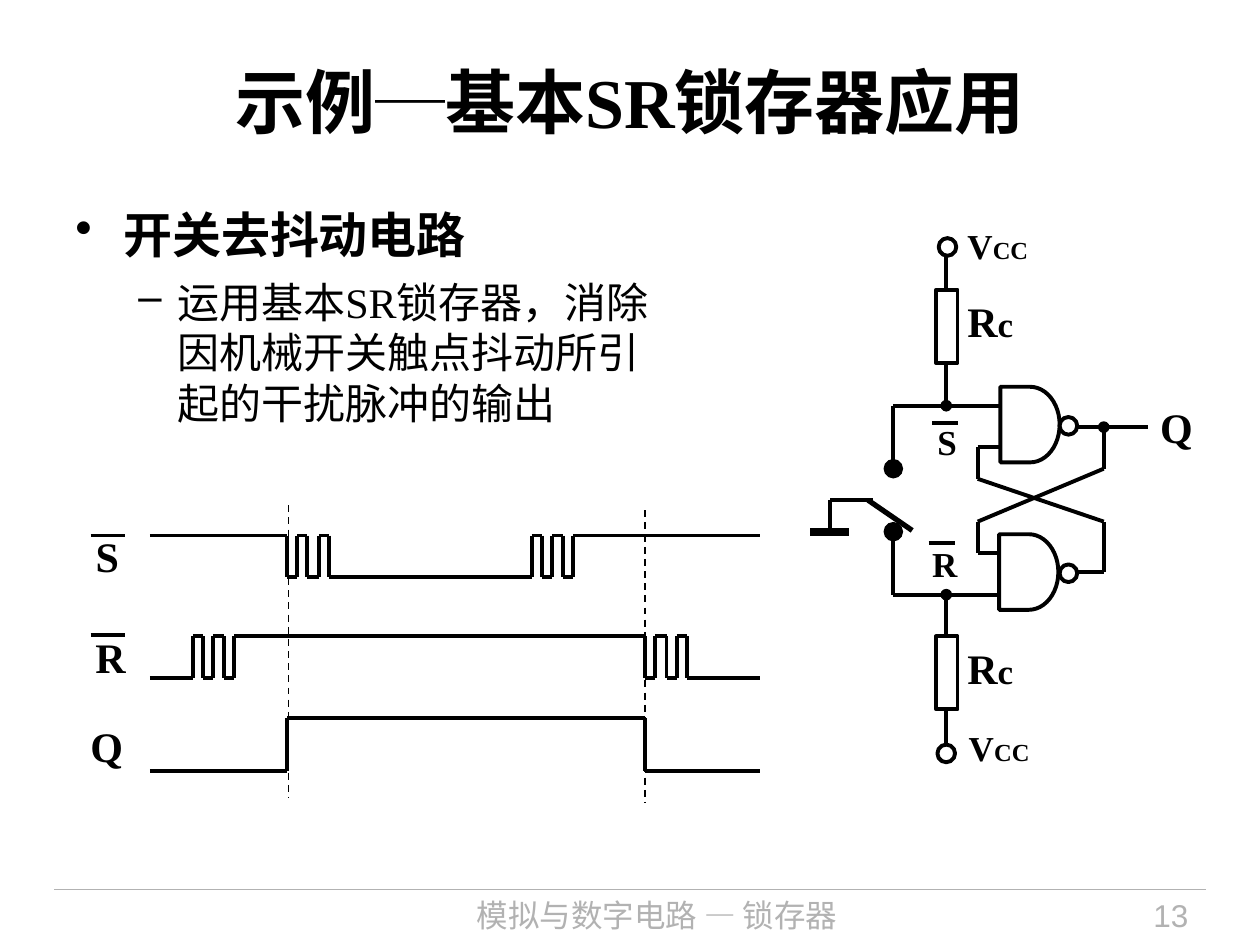
import itertools
import lxml.etree
import pptx
import pptx.dml.color
import pptx.enum.dml
import pptx.enum.shapes
import pptx.enum.text
import pptx.oxml.ns
import pptx.util

PX = 9144
BLACK, WHITE, GREY = "000000", "FFFFFF", "B2B2B2"
SERIF, SANS, CJK = "Times New Roman", "Arial", "Noto Sans CJK SC"
rgb = pptx.dml.color.RGBColor.from_string
qn = pptx.oxml.ns.qn
Align = pptx.enum.text.PP_ALIGN
Shape = pptx.enum.shapes.MSO_SHAPE

deck = pptx.Presentation()
deck.slide_width, deck.slide_height = 1000 * PX, 750 * PX
page = deck.slides.add_slide(deck.slide_layouts[6])


def trace(points, width=2.25, colour=BLACK, dash=None, dot_end=None, dot_size="med"):
    for start, end in itertools.pairwise(points):
        wire = page.shapes.add_connector(
            pptx.enum.shapes.MSO_CONNECTOR.STRAIGHT, *(value * PX for value in start + end))
        wire.line.color.rgb = rgb(colour)
        wire.line.width = pptx.util.Pt(width)
        if dash:
            wire.line.dash_style = dash
        if dot_end:
            lxml.etree.SubElement(wire.line._get_or_add_ln(), qn("a:" + dot_end),
                                  type="oval", w=dot_size, len=dot_size)
        lxml.etree.SubElement(wire._element.spPr, qn("a:effectLst"))


def write(area, lines, font=SERIF, colour=BLACK, bold=True, align=Align.LEFT, wrap=False):
    box = page.shapes.add_textbox(*(value * PX for value in area))
    frame = box.text_frame
    frame.word_wrap = wrap
    frame.text = "\n".join(pieces[0][0] for pieces in lines)
    for para, pieces in zip(frame.paragraphs, lines):
        para.alignment = align
        for text, size in pieces[1:]:
            para.add_run().text = text
        for span, (text, size) in zip(para.runs, pieces):
            span.font.size = pptx.util.Pt(size)
            span.font.bold = bold
            span.font.color.rgb = rgb(colour)
            span.font.name = font
            lxml.etree.SubElement(span._r.get_or_add_rPr(), qn("a:ea"), typeface=CJK)
    return frame


trace([(43, 706), (957, 706)], 0.75, GREY)
write((240, 706, 563, 44), [[("模拟与数字电路 — 锁存器", 18)]], CJK, GREY, False, Align.CENTER, True)
write((820, 706, 133, 44), [[("13", 18)]], SANS, GREY, False, Align.RIGHT, True)

title = write((50, 17, 900, 125), [[("示例─基本SR锁存器应用", 40)]], align=Align.CENTER, wrap=True)
title.vertical_anchor = pptx.enum.text.MSO_ANCHOR.MIDDLE

body = write((50, 158, 496, 239), [
    [("开关去抖动电路", 28)],
    [("运用基本SR锁存器，消除因机械开关触点抖动所引起的干扰脉冲的输出", 24)],
], wrap=True)
body.margin_top = 4 * PX
body.paragraphs[1].level = 1
body.paragraphs[1].runs[0].font.bold = False
for para, bullet, indent, hang, pitch, after in zip(
        body.paragraphs, "•–", (38, 81), (38, 31), (34, 29), (7, 6)):
    props = para._p.get_or_add_pPr()
    props.set("marL", str(indent * PX))
    props.set("indent", str(-hang * PX))
    lxml.etree.SubElement(props, qn("a:buChar"), char=bullet)
    para.line_spacing = pptx.util.Pt(pitch)
    para.space_after = pptx.util.Pt(after)

trace([(843, 339), (911, 339)])
trace([(876, 339), (876, 372)], dot_end="headEnd")
trace([(876, 372), (776, 414), (776, 439), (793, 439)])
trace([(843, 454), (876, 454), (876, 414), (776, 380), (776, 355), (793, 355)])
trace([(793, 322), (709, 322)])
trace([(709, 322), (709, 372)], dot_end="tailEnd", dot_size="lg")
trace([(709, 422), (709, 472)], dot_end="headEnd", dot_size="lg")
trace([(709, 472), (793, 472)])
trace([(693, 397), (659, 397), (659, 422)])
trace([(643, 422), (674, 422)], 4.5)
trace([(689, 397), (724, 421)], 3)
trace([(751, 472), (751, 505)], dot_end="headEnd")
trace([(751, 564), (751, 597)])
trace([(751, 289), (751, 322)], dot_end="tailEnd")
trace([(751, 197), (751, 230)])

high_s, low_s, high_r, low_r, high_q, low_q = 425, 458, 505, 538, 570, 612
for level, other, edges in [
    (high_s, low_s, [228, 236, 244, 253, 261, 422, 430, 438, 447, 455]),
    (low_r, high_r, [153, 161, 169, 178, 186, 512, 520, 529, 537, 545]),
    (low_q, high_q, [228, 512]),
]:
    wave = [(119, level)]
    for edge in edges:
        wave += [(edge, level), (edge, other)]
        level, other = other, level
    trace(wave + [(603, level)])

for x, top in [(229, 401), (512, 405)]:
    trace([(x, top), (x, top + 232)], 1, dash=pptx.enum.dml.MSO_LINE.DASH)

for left, right, y in [(740, 760, 336), (737, 758, 431), (72, 99, 425), (72, 99, 504)]:
    trace([(left, y), (right, y)])

for kind, width, height, corners, fill in [
    (Shape.RECTANGLE, 17, 58, [(743, 505), (743, 230)], None),
    (Shape.FLOWCHART_DELAY, 47, 60, [(794, 307), (793, 424)], WHITE),
    (Shape.OVAL, 14, 14, [(841, 331), (841, 448), (744, 591), (745, 189)], WHITE),
]:
    for left, top in corners:
        part = page.shapes.add_shape(kind, left * PX, top * PX, width * PX, height * PX)
        part.shadow.inherit = False
        part.line.color.rgb = rgb(BLACK)
        part.line.width = pptx.util.Pt(2.25)
        if fill:
            part.fill.solid()
            part.fill.fore_color.rgb = rgb(fill)
        else:
            part.fill.background()

supply = [("V", 20), ("CC", 14)]
resistor = [("R", 24), ("c", 20)]
for area, pieces in [
    ((758, 173, 70, 44), supply),
    ((759, 572, 70, 44), supply),
    ((758, 230, 60, 50), resistor),
    ((758, 505, 60, 50), resistor),
    ((911, 314, 46, 50), [("Q", 24)]),
    ((734, 329, 35, 44), [("S", 20)]),
    ((730, 426, 40, 44), [("R", 20)]),
    ((66, 416, 38, 50), [("S", 24)]),
    ((66, 496, 44, 50), [("R", 24)]),
    ((62, 567, 46, 50), [("Q", 24)]),
]:
    write(area, [pieces])

deck.save("out.pptx")
